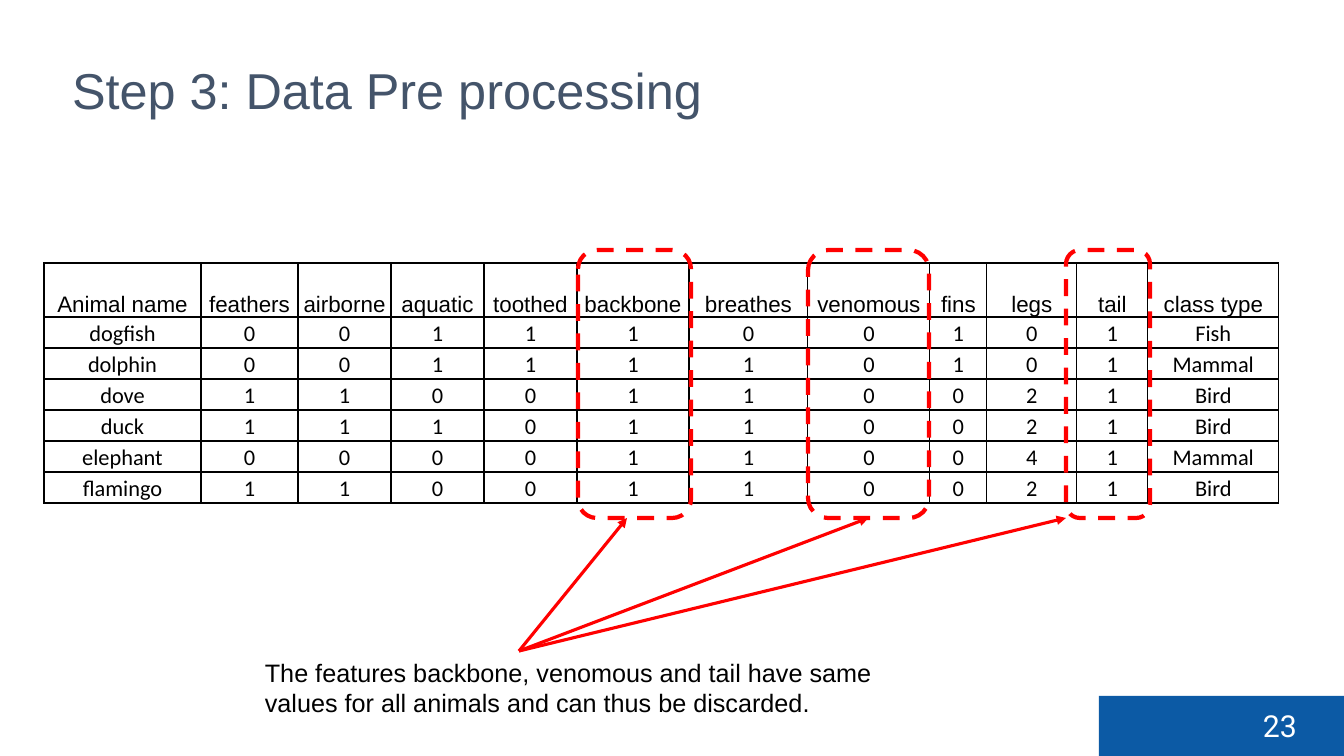
"""Build the data pre-processing slide with its animal feature table."""
from lxml.etree import SubElement
from pptx import Presentation
from pptx.dml.color import RGBColor
from pptx.enum.dml import MSO_LINE
from pptx.enum.shapes import MSO_CONNECTOR, MSO_SHAPE
from pptx.enum.text import MSO_ANCHOR, PP_ALIGN
from pptx.oxml import parse_xml
from pptx.oxml.ns import nsdecls, qn
from pptx.util import Pt

TITLE = "Step 3: Data Pre processing"
PAGE = "23"
NOTE = ("The features backbone, venomous and tail have same values "
        "for all animals and can thus be discarded.")
ANIMALS = [
    ("Animal name", "feathers", "airborne", "aquatic", "toothed", "backbone",
     "breathes", "venomous", "fins", "legs", "tail", "class type"),
    ("dogfish", 0, 0, 1, 1, 1, 0, 0, 1, 0, 1, "Fish"),
    ("dolphin", 0, 0, 1, 1, 1, 1, 0, 1, 0, 1, "Mammal"),
    ("dove", 1, 1, 0, 0, 1, 1, 0, 0, 2, 1, "Bird"),
    ("duck", 1, 1, 1, 0, 1, 1, 0, 0, 2, 1, "Bird"),
    ("elephant", 0, 0, 0, 0, 1, 1, 0, 0, 4, 1, "Mammal"),
    ("flamingo", 1, 1, 0, 0, 1, 1, 0, 0, 2, 1, "Bird"),
]
COLUMN_WIDTHS = (157, 97, 93, 93, 93, 112, 119, 122, 57, 90, 71, 131)
HEADER_HEIGHT, ROW_HEIGHT = 54, 31
TABLE_LEFT, TABLE_TOP = 44, 263
# left, width and arrow tip of each marked feature; no tip means bottom middle
MARKED = [(578, 113, 627), (1066, 84, 1066), (808, 121, None)]
MARK_TOP, MARK_HEIGHT = 250, 268
ARROW_START = (519, 651)
RED, BLACK, WHITE, BLUE, SLATE = "FF0000", "000000", "FFFFFF", "0C5AA5", "44546A"


def px(*lengths):
    """Turn px lengths into EMU."""
    return [round(length * 914400 / 100.8) for length in lengths]


def color(value):
    """Turn a hex string into a colour."""
    return RGBColor.from_string(value)


def write(frame, text, face, size, ink, align=PP_ALIGN.LEFT):
    """Put one formatted paragraph into a text frame."""
    frame.text = text
    paragraph = frame.paragraphs[0]
    paragraph.alignment = align
    font = paragraph.font
    font.name, font.size, font.bold = face, Pt(size), False
    font.color.rgb = color(ink)


def add_text(shapes, box, text, face, size, ink):
    """Add a wrapping text box."""
    frame = shapes.add_textbox(*px(*box)).text_frame
    frame.word_wrap = True
    write(frame, text, face, size, ink)


def add_borders(cell):
    """Draw a thin black line on all sides of a cell."""
    properties = cell._tc.get_or_add_tcPr()
    for side in ("lnL", "lnR", "lnT", "lnB"):
        properties.append(parse_xml(
            f'<a:{side} {nsdecls("a")} w="12700"><a:solidFill>'
            f'<a:srgbClr val="{BLACK}"/></a:solidFill></a:{side}>'))


def add_animal_table(shapes):
    """Add the grid of animals and features."""
    height = HEADER_HEIGHT + ROW_HEIGHT * (len(ANIMALS) - 1)
    table = shapes.add_table(
        len(ANIMALS), len(COLUMN_WIDTHS),
        *px(TABLE_LEFT, TABLE_TOP, sum(COLUMN_WIDTHS), height)).table
    table.first_row = table.horz_banding = False
    for column, width in zip(table.columns, px(*COLUMN_WIDTHS)):
        column.width = width
    for r, values in enumerate(ANIMALS):
        table.rows[r].height = px(ROW_HEIGHT if r else HEADER_HEIGHT)[0]
        for c, value in enumerate(values):
            cell = table.cell(r, c)
            cell.margin_left = cell.margin_right = cell.margin_top = px(1)[0]
            cell.margin_bottom = 0
            cell.vertical_anchor = MSO_ANCHOR.BOTTOM
            add_borders(cell)
            cell.fill.background()
            write(cell.text_frame, str(value), "Calibri" if r else "Arial",
                  16, BLACK, PP_ALIGN.CENTER)


def add_mark(shapes, left, width):
    """Add a dashed frame around a feature column."""
    mark = shapes.add_shape(MSO_SHAPE.ROUNDED_RECTANGLE,
                            *px(left, MARK_TOP, width, MARK_HEIGHT))
    mark.shadow.inherit = False
    mark.fill.background()
    mark.line.color.rgb = color(RED)
    mark.line.width = Pt(3)
    mark.line.dash_style = MSO_LINE.DASH
    return mark


def add_arrow(shapes, mark, tip):
    """Point from the note to a marked column."""
    arrow = shapes.add_connector(MSO_CONNECTOR.STRAIGHT, *px(
        *ARROW_START, tip or 0, MARK_TOP + MARK_HEIGHT))
    if tip is None:
        arrow.end_connect(mark, 2)
    arrow.line.color.rgb = color(RED)
    arrow.line.width = Pt(2.25)
    SubElement(arrow.line._get_or_add_ln(), qn("a:tailEnd"), type="triangle")
    SubElement(arrow._element.spPr, qn("a:effectLst"))


def main():
    """Build and save the slide."""
    deck = Presentation()
    deck.slide_width, deck.slide_height = px(1344, 756)
    slide = deck.slides.add_slide(deck.slide_layouts[5])
    shapes = slide.shapes

    title = shapes.title
    title.left, title.top, title.width, title.height = px(62, 39, 1089, 100)
    title.text_frame.vertical_anchor = MSO_ANCHOR.MIDDLE
    write(title.text_frame, TITLE, "Arial", 36, SLATE)

    band = shapes.add_shape(MSO_SHAPE.RECTANGLE, *px(1099, 696, 245, 60))
    band.shadow.inherit = False
    band.fill.solid()
    band.fill.fore_color.rgb = color(BLUE)
    band.line.fill.background()
    add_text(shapes, (1253, 702, 56, 46), PAGE, "Roboto", 21.6, WHITE)

    add_animal_table(shapes)
    marks = [add_mark(shapes, left, width) for left, width, _ in MARKED]
    for mark, (_, _, tip) in zip(marks, MARKED):
        add_arrow(shapes, mark, tip)
    add_text(shapes, (255, 652, 674, 71), NOTE, "Arial", 18, BLACK)
    deck.save("out.pptx")


if __name__ == "__main__":
    main()
